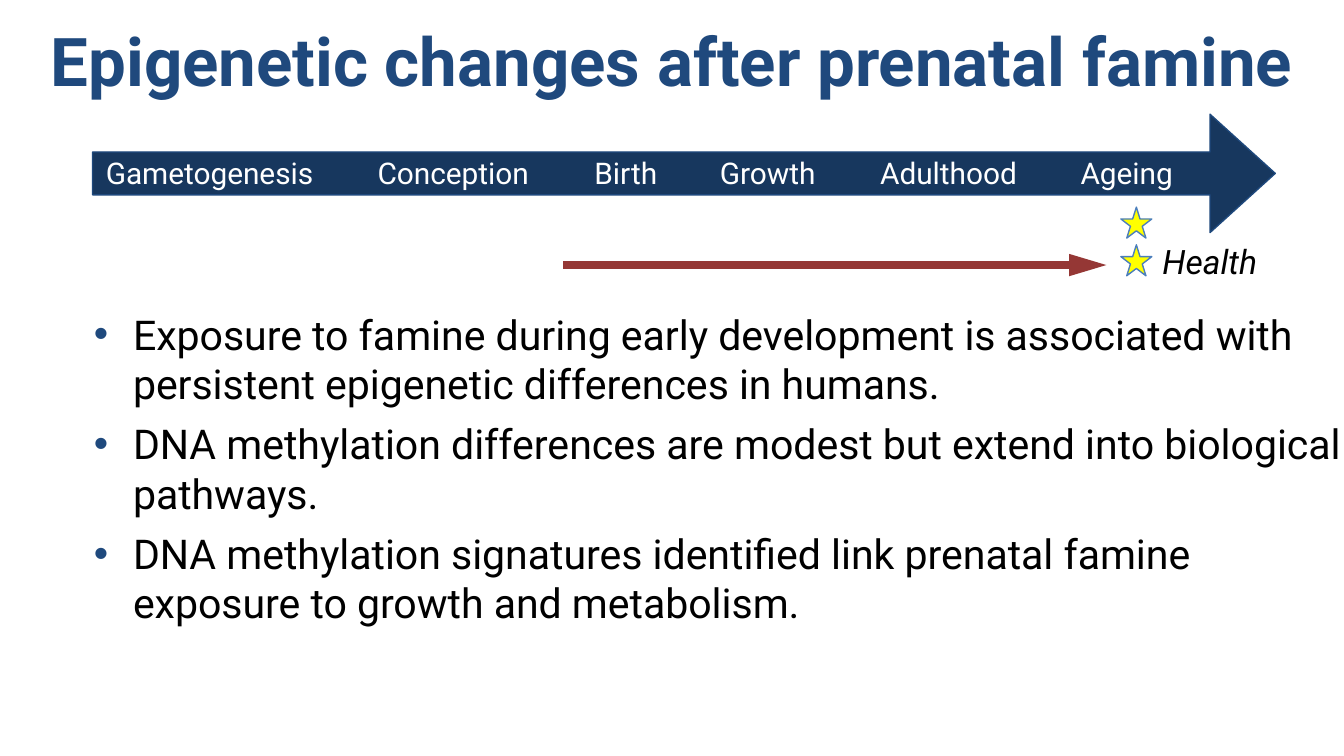
from lxml.etree import SubElement
from pptx import Presentation
from pptx.dml.color import RGBColor
from pptx.enum.shapes import MSO_CONNECTOR as CONNECTOR, MSO_SHAPE as SHAPE
from pptx.enum.text import MSO_ANCHOR as ANCHOR, MSO_AUTO_SIZE as AUTO_SIZE, PP_ALIGN as ALIGN
from pptx.oxml.ns import qn
from pptx.util import Pt

COLORS = {
    "heading": "1F497D", "band": "17375E", "white": "FFFFFF", "black": "000000",
    "exposure": "953735", "star": "FFFF00", "star_line": "4B7EBC",
}
STAGES = [
    ("Gametogenesis", 127.4), ("Conception", 98), ("Birth", 49),
    ("Growth", 67.6), ("Adulthood", 89.2), ("Ageing", 64.8),
]
FINDINGS = [
    "Exposure to famine during early development is associated with "
    "persistent epigenetic differences in humans.",
    "DNA methylation differences are modest but extend into biological pathways.",
    "DNA methylation signatures identified link prenatal famine exposure "
    "to growth and metabolism.",
]


def rgb(name):
    """Return the named colour."""
    return RGBColor.from_string(COLORS[name])


def write(paragraph, text, size=16, color="black", bold=False, italic=False, align=ALIGN.LEFT):
    """Fill a paragraph with formatted text."""
    paragraph.text = text
    paragraph.alignment = align
    font = paragraph.font
    font.name, font.size = "Roboto", Pt(size)
    font.bold, font.italic = bold, italic
    font.color.rgb = rgb(color)


def add_box(slide, left, top, width, height, wrap=False):
    """Add an empty text box and return its text frame."""
    shape = slide.shapes.add_textbox(Pt(left), Pt(top), Pt(width), Pt(height))
    frame = shape.text_frame
    frame.word_wrap = wrap
    frame.auto_size = AUTO_SIZE.SHAPE_TO_FIT_TEXT
    return frame


def add_preset(slide, kind, left, top, width, height, fill, line):
    """Add a filled and outlined preset shape."""
    shape = slide.shapes.add_shape(kind, Pt(left), Pt(top), Pt(width), Pt(height))
    shape.shadow.inherit = False
    shape.fill.solid()
    shape.fill.fore_color.rgb = rgb(fill)
    shape.line.color.rgb = rgb(line)
    shape.line.width = Pt(0.75)
    return shape


def add_bullet(paragraph, indent):
    """Give a paragraph a hanging round bullet."""
    properties = paragraph._p.get_or_add_pPr()
    properties.set("marL", str(Pt(indent)))
    properties.set("indent", str(-Pt(indent)))
    bullet_color = SubElement(properties, qn("a:buClr"))
    SubElement(bullet_color, qn("a:srgbClr"), val=COLORS["heading"])
    SubElement(properties, qn("a:buFont"), typeface="Arial")
    SubElement(properties, qn("a:buChar"), char="•")


def place_title(slide, left, top, width, height):
    """Position and format the title placeholder."""
    title = slide.shapes.title
    title.left, title.top, title.width, title.height = map(Pt, (left, top, width, height))
    frame = title.text_frame
    frame.auto_size = AUTO_SIZE.NONE
    frame.vertical_anchor = ANCHOR.MIDDLE
    write(frame.paragraphs[0], "Epigenetic changes after prenatal famine",
          size=36, color="heading", bold=True, align=ALIGN.CENTER)


def add_life_course(slide, left, top, width, height, gap=18.2):
    """Draw the block arrow with its row of life stages."""
    arrow = add_preset(slide, SHAPE.RIGHT_ARROW, left, top, width, height, "band", "heading")
    arrow.adjustments[0], arrow.adjustments[1] = 0.362, 0.551
    label_height = 26.6
    label_top = top + (height - label_height) / 2
    for stage, label_width in STAGES:
        frame = add_box(slide, left, label_top, label_width, label_height)
        write(frame.paragraphs[0], stage, color="white")
        left += label_width + gap


def add_health_link(slide, left, top, width, height):
    """Draw the exposure arrow, the two stars and the health label."""
    line_y = top + 31
    line = slide.shapes.add_connector(
        CONNECTOR.STRAIGHT, Pt(left), Pt(line_y), Pt(left + 291), Pt(line_y))
    line.line.color.rgb = rgb("exposure")
    line.line.width = Pt(4)
    SubElement(line.line._get_or_add_ln(), qn("a:tailEnd"), type="triangle", w="med", len="lg")
    SubElement(line._element.spPr, qn("a:effectLst"))
    star_size = 16.6
    for star_top in (top, top + 20.2):
        add_preset(slide, SHAPE.STAR_5_POINT, left + 298.8, star_top,
                   star_size, star_size, "star", "star_line")
    label_width, label_height = 71.3, 29
    frame = add_box(slide, left + width - label_width, top + height - label_height,
                    label_width, label_height)
    write(frame.paragraphs[0], "Health", size=18, italic=True)


def add_findings(slide, left, top, width, height):
    """Write the bulleted findings."""
    frame = add_box(slide, left, top, width, height, wrap=True)
    for index, finding in enumerate(FINDINGS):
        paragraph = frame.add_paragraph() if index else frame.paragraphs[0]
        paragraph.space_after = Pt(6)
        add_bullet(paragraph, 21)
        write(paragraph, finding, size=22)


def main():
    """Build and save the presentation."""
    presentation = Presentation()
    presentation.slide_width, presentation.slide_height = Pt(720), Pt(405)
    slide = presentation.slides.add_slide(presentation.slide_layouts[5])
    place_title(slide, 0, 2.2, 720, 59)
    add_life_course(slide, 49.6, 61.2, 633.6, 63.4)
    add_health_link(slide, 301.7, 111, 385.2, 43.3)
    add_findings(slide, 43.2, 162, 686.9, 179.3)
    presentation.save("out.pptx")


if __name__ == "__main__":
    main()
